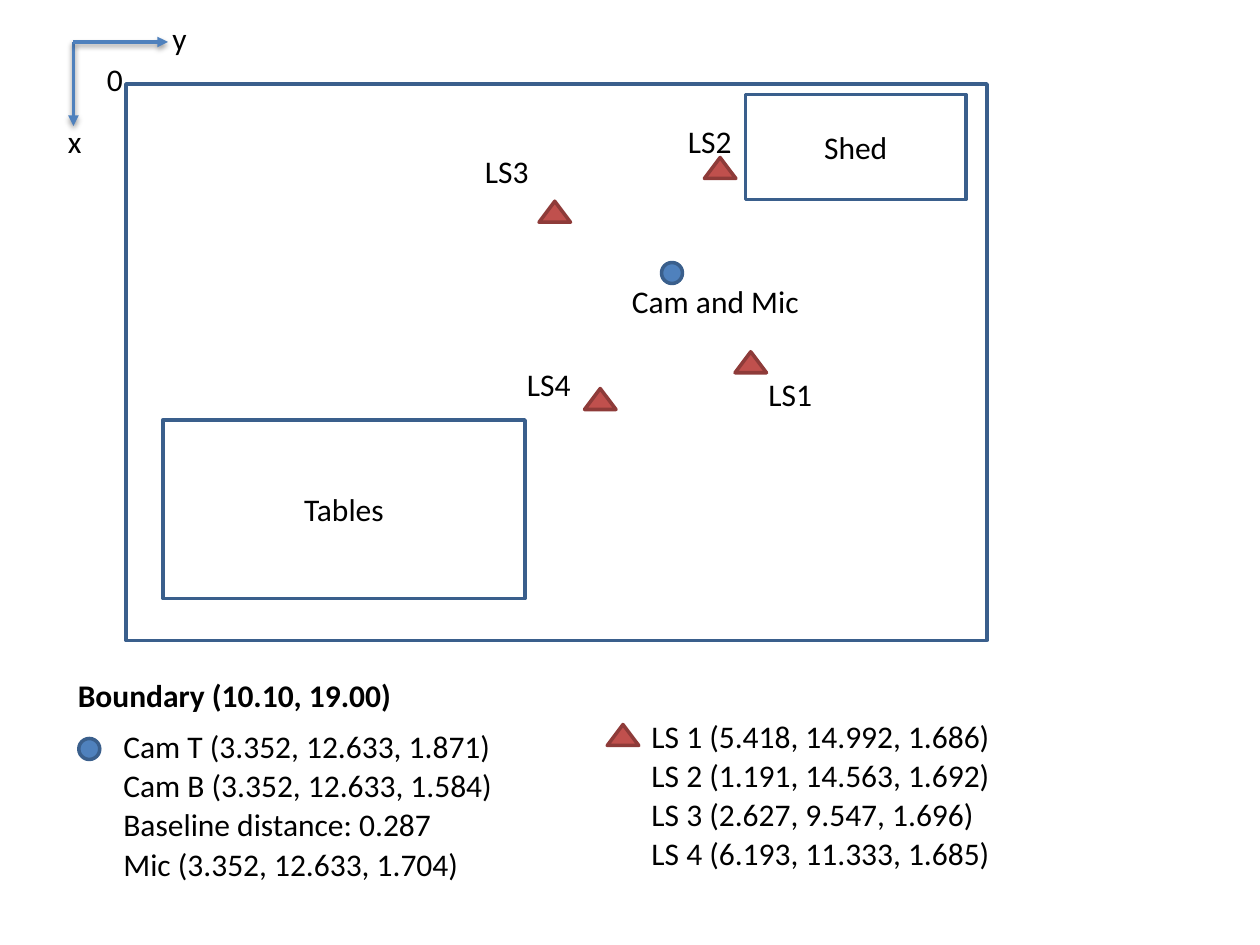
import pptx
import pptx.dml.color
import pptx.enum.shapes
import pptx.enum.text
import pptx.oxml
import pptx.oxml.ns
import pptx.util

Pt = pptx.util.Pt
PRESET = pptx.enum.shapes.MSO_SHAPE
ALIGN = pptx.enum.text.PP_ALIGN

COLORS = {
    "text": "000000",
    "blue": "4F81BD",
    "blue_edge": "3A5F8C",
    "red": "C0504D",
    "red_edge": "8E3B39",
    "shadow": "000000",
}
FONT = {"name": "Calibri", "size": Pt(18), "bold": False}
LABEL_HEIGHT = 29

ROOMS = [
    ("", 72, 48, 492, 318),
    ("Shed", 426, 54, 126, 60),
    ("Tables", 93, 240, 207, 102),
]
AXIS_ORIGIN = (42, 24)
AXIS_ENDS = [(42, 72), (96, 24)]
AXIS_LABELS = [("x", 31.7, 66.2, 22), ("y", 91.4, 7.2, 23), ("0", 54, 31, 24)]

# Plan markers first, the legend key last
MICROPHONES = [(378, 150), (45, 422)]
LOUDSPEAKERS = [(420, 201), (402.5, 90), (308, 115), (334, 222), (347, 414)]
PLAN_LABELS = [
    ("LS1", 432, 211, 48),
    ("LS2", 386, 66.2, 48),
    ("LS3", 270, 83.5, 48),
    ("LS4", 294, 205.2, 48),
    ("Cam and Mic", 354, 157.7, 115),
]

LEGEND_WIDTH = 237
LEGEND_STEP = 22.4
LEGENDS = [
    (63.4, 411.9, [
        "Cam T (3.352, 12.633, 1.871)",
        "Cam B (3.352, 12.633, 1.584)",
        "Baseline distance: 0.287",
        "Mic (3.352, 12.633, 1.704)",
    ]),
    (365.2, 406, [
        "LS 1 (5.418, 14.992, 1.686)",
        "LS 2 (1.191, 14.563, 1.692)",
        "LS 3 (2.627, 9.547, 1.696)",
        "LS 4 (6.193, 11.333, 1.685)",
    ]),
]


def rgb(color):
    return pptx.dml.color.RGBColor.from_string(COLORS[color])


def write(frame, text, align=ALIGN.LEFT, **changes):
    paragraph = frame.paragraphs[0]
    paragraph.alignment = align
    run = paragraph.add_run()
    run.text = text
    for attribute, value in {**FONT, **changes}.items():
        setattr(run.font, attribute, value)
    run.font.color.rgb = rgb("text")


def add_outline(slide, preset, left, top, width, height, edge, fill=None):
    """Add a preset shape with a 2 pt edge, hollow unless a fill is named."""
    shape = slide.shapes.add_shape(preset, Pt(left), Pt(top), Pt(width), Pt(height))
    shape.shadow.inherit = False
    shape.line.color.rgb = rgb(edge)
    shape.line.width = Pt(2)
    if fill:
        shape.fill.solid()
        shape.fill.fore_color.rgb = rgb(fill)
    else:
        shape.fill.background()
    return shape


def add_room(slide, name, *box):
    room = add_outline(slide, PRESET.RECTANGLE, *box, "blue_edge")
    if name:
        room.text_frame.vertical_anchor = pptx.enum.text.MSO_ANCHOR.MIDDLE
        write(room.text_frame, name, ALIGN.CENTER)


def add_label(slide, text, left, top, width, wrap=True, **changes):
    label = slide.shapes.add_textbox(Pt(left), Pt(top), Pt(width), Pt(LABEL_HEIGHT))
    frame = label.text_frame
    frame.word_wrap = wrap
    frame.auto_size = pptx.enum.text.MSO_AUTO_SIZE.SHAPE_TO_FIT_TEXT
    write(frame, text, **changes)


def add_axis(slide, start, end):
    """Add an arrow with a soft shadow below it."""
    axis = slide.shapes.add_connector(
        pptx.enum.shapes.MSO_CONNECTOR.STRAIGHT, *map(Pt, start + end))
    axis.line.color.rgb = rgb("blue")
    axis.line.width = Pt(2)
    namespace = pptx.oxml.ns.nsdecls("a")
    axis.line._get_or_add_ln().append(
        pptx.oxml.parse_xml(f'<a:tailEnd {namespace} type="triangle"/>'))
    axis._element.spPr.append(pptx.oxml.parse_xml(
        f'<a:effectLst {namespace}>'
        f'<a:outerShdw blurRad="{Pt(3.1)}" dist="{Pt(1.6)}" dir="5400000" rotWithShape="0">'
        f'<a:srgbClr val="{COLORS["shadow"]}"><a:alpha val="38000"/></a:srgbClr>'
        '</a:outerShdw></a:effectLst>'))


def add_legend(slide, left, top, entries):
    for row, entry in enumerate(entries):
        add_label(slide, entry, left, top + row * LEGEND_STEP, LEGEND_WIDTH)


def main():
    presentation = pptx.Presentation()
    presentation.slide_width = Pt(720)
    presentation.slide_height = Pt(540)
    slide = presentation.slides.add_slide(presentation.slide_layouts[6])

    for room in ROOMS:
        add_room(slide, *room)
    for end in AXIS_ENDS:
        add_axis(slide, AXIS_ORIGIN, end)
    for label in AXIS_LABELS:
        add_label(slide, *label, wrap=False)

    for left, top in MICROPHONES:
        add_outline(slide, PRESET.OVAL, left, top, 12, 12, "blue_edge", "blue")
    for left, top in LOUDSPEAKERS:
        add_outline(slide, PRESET.ISOSCELES_TRIANGLE, left, top, 18, 12, "red_edge", "red")
    for label in PLAN_LABELS:
        add_label(slide, *label)

    add_label(slide, "Boundary (10.10, 19.00)", 37.4, 383, 214.5, bold=True)
    for legend in LEGENDS:
        add_legend(slide, *legend)

    presentation.save("out.pptx")


if __name__ == "__main__":
    main()
